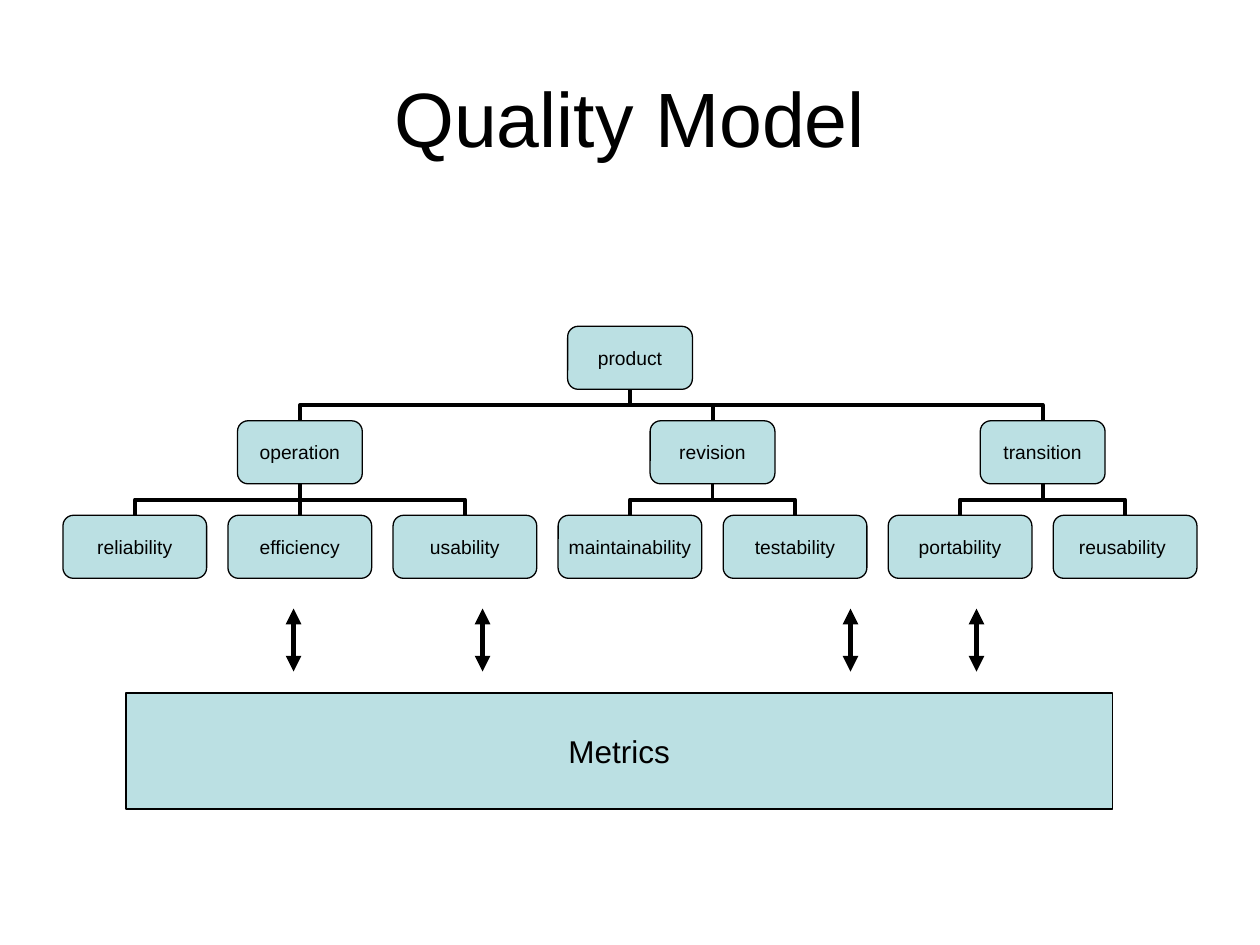
from lxml import etree
from pptx import Presentation
from pptx import util as u
from pptx.dml.color import RGBColor
from pptx.enum import shapes, text
from pptx.oxml.ns import qn

BLACK = "000000"
PALE_TEAL = "BBE0E3"
QUALITY_TREE = {
    "operation": ["reliability", "efficiency", "usability"],
    "revision": ["maintainability", "testability"],
    "transition": ["portability", "reusability "],
}


def color(hex_value):
    return RGBColor.from_string(hex_value)


def set_values(target, values):
    for name, value in values.items():
        setattr(target, name, value)


def format_text(frame, wording, size, margins=(0.1, 0.05), wrap=False):
    horizontal, vertical = map(u.Inches, margins)
    set_values(frame, {
        "text": wording,
        "word_wrap": wrap,
        "vertical_anchor": text.MSO_ANCHOR.MIDDLE,
        "margin_left": horizontal,
        "margin_right": horizontal,
        "margin_top": vertical,
        "margin_bottom": vertical,
    })
    paragraph = frame.paragraphs[0]
    paragraph.alignment = text.PP_ALIGN.CENTER
    font = paragraph.runs[0].font
    set_values(font, {"name": "Arial", "size": u.Pt(size)})
    font.color.rgb = color(BLACK)


def add_title(slide, box, wording):
    title = slide.shapes.title
    left, top, width, height = map(u.Inches, box)
    set_values(title, {"left": left, "top": top, "width": width, "height": height})
    format_text(title.text_frame, wording, 44, wrap=True)


def add_block(slide, kind, box, wording, size, margins):
    block = slide.shapes.add_shape(kind, *map(u.Inches, box))
    block.shadow.inherit = False
    block.fill.solid()
    block.fill.fore_color.rgb = color(PALE_TEAL)
    block.line.color.rgb = color(BLACK)
    block.line.width = u.Pt(0.75)
    format_text(block.text_frame, wording, size, margins)


def add_line(slide, kind, start, end, width):
    connector = slide.shapes.add_connector(kind, *map(u.Inches, start + end))
    connector.line.color.rgb = color(BLACK)
    connector.line.width = u.Pt(width)
    etree.SubElement(connector._element.spPr, qn("a:effectLst"))
    return connector


def add_branch(slide, child, parent):
    side = 1 if child[0] >= parent[0] else -1
    middle_x, middle_y = ((a + b) / 2 for a, b in zip(child, parent))
    half_rise = side * (child[1] - parent[1]) / 2
    half_span = abs(child[0] - parent[0]) / 2
    branch = add_line(slide, shapes.MSO_CONNECTOR.ELBOW,
                      (middle_x - half_rise, middle_y + half_span),
                      (middle_x + half_rise, middle_y - half_span), 2.25)
    degrees = 270 if side > 0 else 90
    branch._element.spPr.xfrm.set("rot", str(degrees * 60000))


def add_tree(slide, box, root, groups):
    left, top, width, height = box
    node_height = height / 4
    row_step = node_height * 1.5
    leaf_width, node_width = 1.14, 0.99
    leaf_count = sum(map(len, groups.values()))
    leaf_step = (width - leaf_width) / (leaf_count - 1)

    root_center = left + width / 2
    nodes = [(root, root_center, 0, node_width)]
    branches = []
    position = 0
    for group, leaves in groups.items():
        centers = [left + leaf_width / 2 + leaf_step * (position + index)
                   for index in range(len(leaves))]
        position += len(leaves)
        group_center = sum(centers) / len(centers)
        nodes.append((group, group_center, 1, node_width))
        branches.append((group_center, root_center, 1))
        for leaf, center in zip(leaves, centers):
            nodes.append((leaf, center, 2, leaf_width))
            branches.append((center, group_center, 2))

    for child_center, parent_center, row in branches:
        child_top = top + row * row_step
        parent_bottom = child_top - row_step + node_height
        add_branch(slide, (child_center, child_top), (parent_center, parent_bottom))
    for wording, center, row, node_size in nodes:
        add_block(slide, shapes.MSO_SHAPE.ROUNDED_RECTANGLE,
                  (center - node_size / 2, top + row * row_step, node_size, node_height),
                  wording, 11, (0.06, 0.03))


def add_arrows(slide, top, bottom, centers):
    for center in centers:
        arrow = add_line(slide, shapes.MSO_CONNECTOR.STRAIGHT,
                         (center, top), (center, bottom), 3)
        line = arrow._element.spPr.find(qn("a:ln"))
        for end in ("a:headEnd", "a:tailEnd"):
            etree.SubElement(line, qn(end), type="triangle")


def main():
    presentation = Presentation()
    set_values(presentation, {"slide_width": u.Inches(10), "slide_height": u.Inches(7.5)})
    slide = presentation.slides.add_slide(presentation.slide_layouts[5])
    add_title(slide, (0.5, 0.3, 9, 1.25), "Quality Model")
    add_tree(slide, (0.5, 2.59, 9, 2), "product", QUALITY_TREE)
    add_block(slide, shapes.MSO_SHAPE.RECTANGLE, (1, 5.5, 7.83, 0.92),
              "Metrics", 18, (0.1, 0.05))
    add_arrows(slide, 4.83, 5.33, (2.33, 3.83, 6.75, 7.75))
    presentation.save("out.pptx")


if __name__ == "__main__":
    main()
